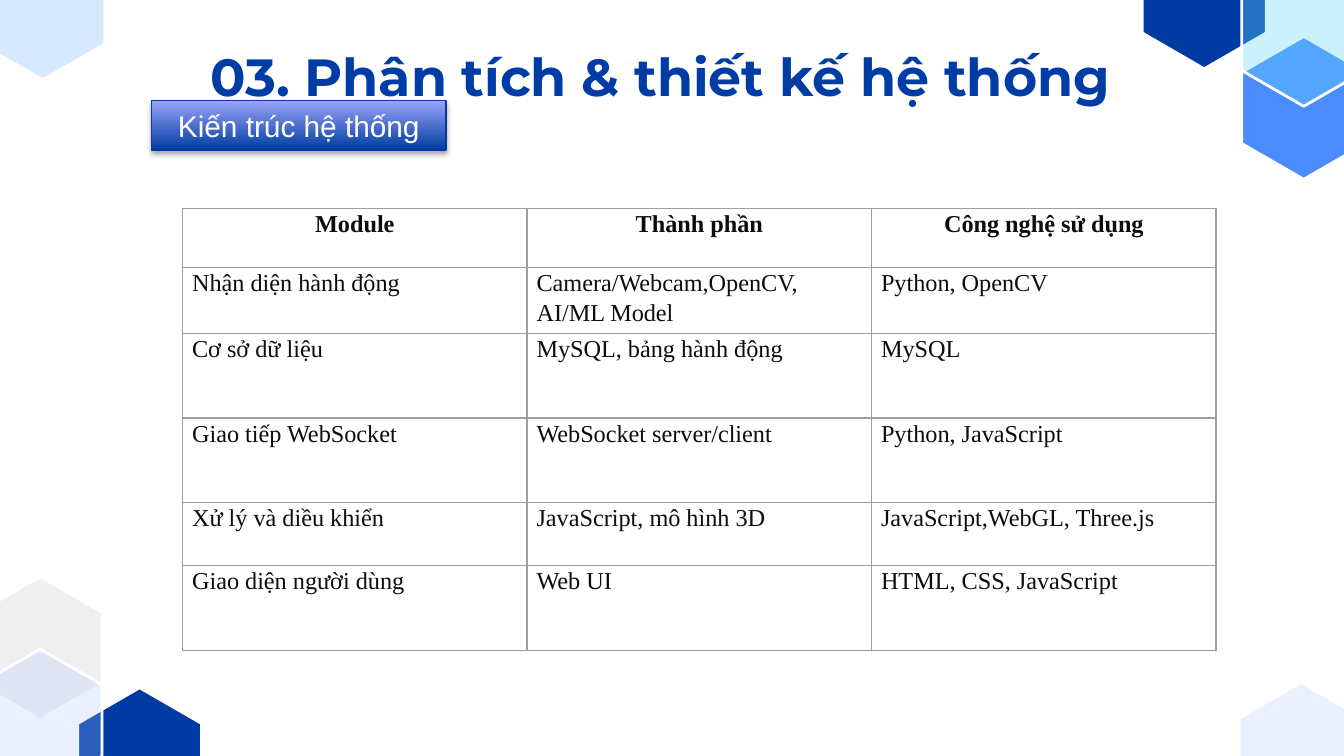
from dataclasses import dataclass
from typing import Any, NamedTuple, Optional

from lxml import etree
from pptx import Presentation
from pptx.dml.color import RGBColor
from pptx.enum.shapes import MSO_SHAPE
from pptx.enum.text import MSO_ANCHOR, MSO_AUTO_SIZE, PP_ALIGN
from pptx.oxml import parse_xml
from pptx.oxml.ns import nsdecls, qn
from pptx.util import Cm, Pt

RECT = MSO_SHAPE.RECTANGLE
MIDDLE = MSO_ANCHOR.MIDDLE
FIT_SHAPE = MSO_AUTO_SIZE.SHAPE_TO_FIT_TEXT
CENTER, LEFT = PP_ALIGN.CENTER, PP_ALIGN.LEFT


@dataclass(frozen=True)
class Theme:
    navy: str = "003BA3"
    title: str = "003CA5"
    label_top: str = "9BA5F9"
    label_line: str = "003A9F"
    blue: str = "4A8CFF"
    sky: str = "9FCBFD"
    cyan: str = "68DAF8"
    pale: str = "AFC7FF"
    grey: str = "EFEFEF"
    white: str = "FFFFFF"
    ink: str = "0D0D0D"
    grid: str = "9E9E9E"
    title_size: float = 28
    label_size: float = 16
    cell_size: float = 13


class Hexagon(NamedTuple):
    left: float
    top: float
    color: str
    alpha: Optional[int] = None  # opacity in percent


THEME = Theme()
HEX_W, HEX_H = 2.34, 2.7
HEX_POINTS = [(0.5, 0), (0, 0.25), (0, 0.75), (0.5, 1), (1, 0.75), (1, 0.25)]
HEXAGONS = [
    Hexagon(1.47, 13.0, THEME.navy),
    Hexagon(-0.41, 10.9, THEME.grey),
    Hexagon(-0.41, 12.27, THEME.pale, 25),
    Hexagon(23.42, 12.9, THEME.pale, 25),
    Hexagon(-0.36, -1.19, THEME.sky, 41),
    Hexagon(21.59, -1.4, THEME.navy),
    Hexagon(23.47, 0.69, THEME.blue),
    Hexagon(23.47, -0.69, THEME.cyan, 34),
]

COL_W = 6.51
ROW_HEIGHTS = [1.12, 1.24, 1.6, 1.6, 1.19, 1.6]
ROWS = [
    ("Module", "Thành phần", "Công nghệ sử dụng"),
    ("Nhận diện hành động", "Camera/Webcam,OpenCV, AI/ML Model", "Python, OpenCV"),
    ("Cơ sở dữ liệu", "MySQL, bảng hành động", "MySQL"),
    ("Giao tiếp WebSocket", "WebSocket server/client", "Python, JavaScript"),
    ("Xử lý và diều khiển", "JavaScript, mô hình 3D", "JavaScript,WebGL, Three.js"),
    ("Giao diện người dùng", "Web UI", "HTML, CSS, JavaScript"),
]


def rgb(color: str) -> RGBColor:
    return RGBColor.from_string(color)


def set_attrs(obj: Any, values: dict[str, Any]) -> None:
    for name, value in values.items():
        setattr(obj, name, value)


def write(tf: Any, text: str, color: str, font: dict[str, Any],
          para: dict[str, Any]) -> None:
    p = tf.paragraphs[0]
    set_attrs(p, para)
    r = p.add_run()
    r.text = text
    set_attrs(r.font, font)
    r.font.color.rgb = rgb(color)


def draw_hexagon(s: Any, h: Hexagon) -> None:
    points = [(Cm(h.left + x * HEX_W), Cm(h.top + y * HEX_H)) for x, y in HEX_POINTS]
    fb = s.shapes.build_freeform(*points[0])
    fb.add_line_segments(points[1:], close=True)
    sp = fb.convert_to_shape()
    sp.shadow.inherit = False
    sp.fill.solid()
    sp.fill.fore_color.rgb = rgb(h.color)
    sp.line.color.rgb = rgb(THEME.white)
    sp.line.width = Pt(1.5)
    if h.alpha is not None:
        color = sp.fill._xPr.find(qn("a:solidFill"))[0]
        etree.SubElement(color, qn("a:alpha"), val=str(h.alpha * 1000))


def draw_title(s: Any) -> None:
    tf = s.shapes.add_textbox(Cm(1.75), Cm(0), Cm(21.46), Cm(1.68)).text_frame
    margins = dict.fromkeys(
        ("margin_left", "margin_top", "margin_right", "margin_bottom"), Cm(0.25))
    set_attrs(tf, {"word_wrap": True, "vertical_anchor": MIDDLE, **margins})
    write(tf, "03. Phân tích & thiết kế hệ thống", THEME.title,
          {"name": "Montserrat", "size": Pt(THEME.title_size), "bold": True},
          {"alignment": CENTER, "line_spacing": Pt(67.2), "space_after": Pt(6)})


def draw_borders(cell: Any) -> None:
    tcPr = cell._tc.get_or_add_tcPr()
    for i, side in enumerate("LRTB"):
        tcPr.insert(i, parse_xml(
            f'<a:ln{side} {nsdecls("a")} w="{Pt(0.75)}"><a:solidFill>'
            f'<a:srgbClr val="{THEME.grid}"/></a:solidFill></a:ln{side}>'))


def draw_table(s: Any) -> None:
    frame = s.shapes.add_table(len(ROWS), len(ROWS[0]), Cm(3.45), Cm(3.94),
                               Cm(COL_W * len(ROWS[0])), Cm(sum(ROW_HEIGHTS)))
    table = frame.table
    set_attrs(table, {"first_row": False, "horz_banding": False})
    for col in table.columns:
        col.width = Cm(COL_W)
    for i, (texts, height) in enumerate(zip(ROWS, ROW_HEIGHTS)):
        table.rows[i].height = Cm(height)
        header = i == 0
        for j, text in enumerate(texts):
            cell = table.cell(i, j)
            cell.fill.background()
            set_attrs(cell, {"margin_left": Cm(0.18), "margin_right": Cm(0.18),
                             "margin_top": 0, "margin_bottom": 0})
            draw_borders(cell)
            write(cell.text_frame, text, THEME.ink,
                  {"name": "Times New Roman", "size": Pt(THEME.cell_size),
                   "bold": header},
                  {"alignment": CENTER if header else LEFT, "line_spacing": 1.1})


def draw_label(s: Any) -> None:
    sp = s.shapes.add_shape(RECT, Cm(2.87), Cm(1.9), Cm(5.56), Cm(0.94))
    sp.fill.gradient()
    sp.fill.gradient_angle = 90
    for stop, position, color in zip(sp.fill.gradient_stops, (0, 1),
                                     (THEME.navy, THEME.label_top)):
        stop.position = position
        stop.color.rgb = rgb(color)
    sp.line.color.rgb = rgb(THEME.label_line)
    sp.line.width = Pt(0.75)
    sp.shadow.inherit = False
    effects = sp._element.spPr.find(qn("a:effectLst"))
    effects.append(parse_xml(
        f'<a:outerShdw {nsdecls("a")} blurRad="{Pt(3.1)}" dist="{Pt(1.8)}" '
        'dir="5400000" rotWithShape="0"><a:srgbClr val="000000">'
        '<a:alpha val="35000"/></a:srgbClr></a:outerShdw>'))
    tf = sp.text_frame
    set_attrs(tf, {"word_wrap": True, "auto_size": FIT_SHAPE,
                   "vertical_anchor": MIDDLE})
    write(tf, "Kiến trúc hệ thống", THEME.white,
          {"name": "Arial", "size": Pt(THEME.label_size)}, {"alignment": CENTER})


def main() -> None:
    prs = Presentation()
    set_attrs(prs, {"slide_width": Cm(25.4), "slide_height": Cm(14.29)})
    s = prs.slides.add_slide(prs.slide_layouts[6])
    for h in HEXAGONS:
        draw_hexagon(s, h)
    draw_title(s)
    draw_table(s)
    draw_label(s)
    prs.save("out.pptx")


if __name__ == "__main__":
    main()
